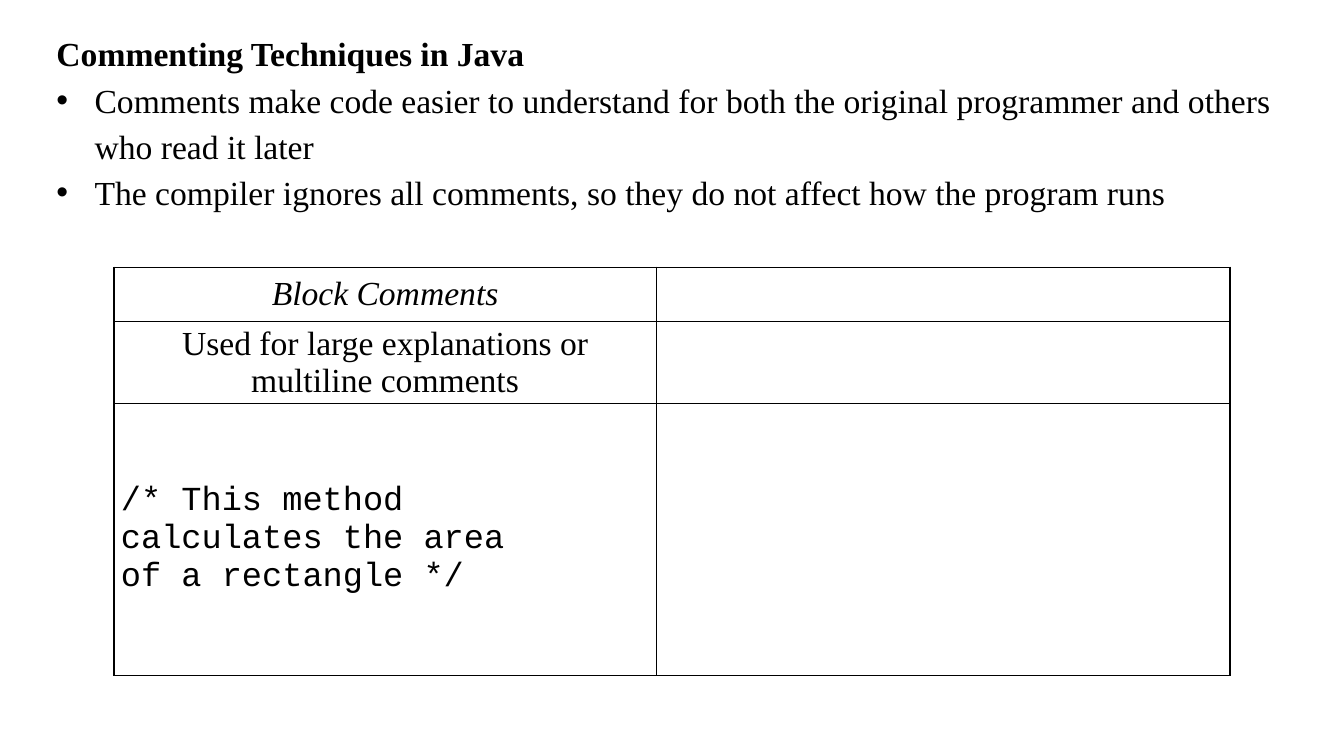
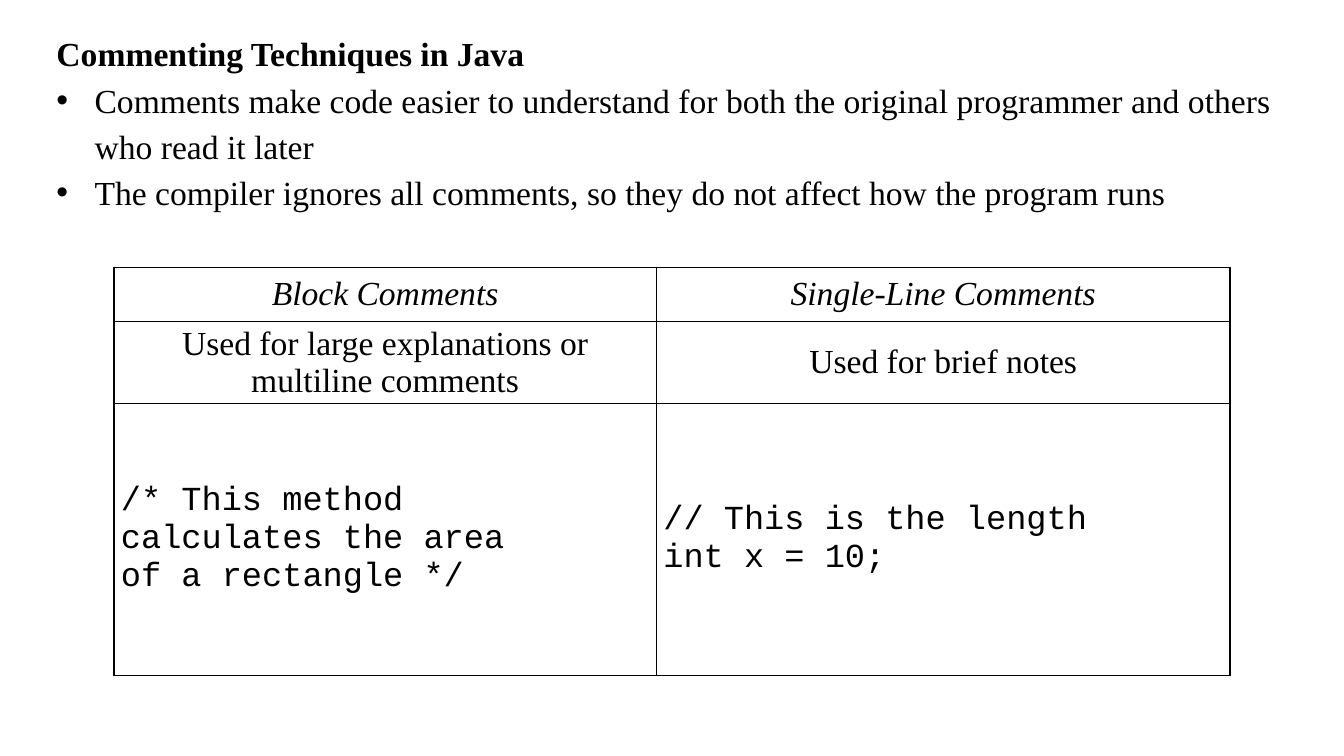
from pptx import Presentation
from pptx.dml.color import RGBColor
from pptx.enum import text
from pptx.oxml import ns
from pptx.util import Emu, Inches, Pt
from lxml import etree

SERIF, MONO, INK = "Times New Roman", "Courier New", "000000"
MARGIN, TOP, TEXT_WIDTH = 0.46, 0.22, 12.35
TITLE_HEIGHT, BODY_TOP, BODY_HEIGHT = 0.56, 0.68, 1.46
HANGING_INDENT, LINE_SPACING = 0.38, 1.15
TABLE_LEFT, TABLE_TOP = 1.13, 2.65
COLUMN_WIDTHS, ROW_HEIGHTS = (5.38, 5.69), (0.54, 0.81, 2.7)

TITLE = "Commenting Techniques in Java"
BULLETS = [
    "Comments make code easier to understand for both the original programmer and others who read it later",
    "The compiler ignores all comments, so they do not affect how the program runs",
]
BLOCK = (
    ["Block Comments"],
    ["Used for large explanations or multiline comments"],
    ["/* This method", "calculates the area", "of a rectangle */"],
)
SINGLE_LINE = (
    ["Single-Line Comments"],
    ["Used for brief notes"],
    ["// This is the length", "int x = 10;"],
)
EMPTY = ([], [], [])
SLIDE_COLUMNS = [(BLOCK, EMPTY), (BLOCK, SINGLE_LINE)]

CENTER, LEFT = text.PP_ALIGN.CENTER, text.PP_ALIGN.LEFT
ROW_STYLES = [
    (CENTER, {"italic": True}),
    (CENTER, {}),
    (LEFT, {"name": MONO}),
]


def rgb(value):
    return RGBColor.from_string(value)


def set_values(target, values):
    for name, value in values.items():
        setattr(target, name, value)


def write(frame, lines, alignment=LEFT, spacing=None, bullet=None, **font):
    for index, line in enumerate(lines):
        paragraph = frame.paragraphs[0] if index == 0 else frame.add_paragraph()
        set_values(paragraph, {"alignment": alignment, "line_spacing": spacing})
        if bullet:
            properties = paragraph._p.get_or_add_pPr()
            indent = Inches(HANGING_INDENT)
            properties.set("marL", str(indent))
            properties.set("indent", str(-indent))
            etree.SubElement(properties, ns.qn("a:buFont"), typeface="Arial")
            etree.SubElement(properties, ns.qn("a:buChar"), char=bullet)
        run = paragraph.add_run()
        run.text = line
        set_values(run.font, {"name": SERIF, "size": Pt(24), **font})
        run.font.color.rgb = rgb(INK)


def add_borders(cell):
    properties = cell._tc.get_or_add_tcPr()
    for index, side in enumerate("LRTB"):
        line = etree.Element(ns.qn(f"a:ln{side}"), w=str(Pt(1)))
        fill = etree.SubElement(line, ns.qn("a:solidFill"))
        etree.SubElement(fill, ns.qn("a:srgbClr"), val=INK)
        properties.insert(index, line)


def add_heading(slide):
    title = slide.shapes.title
    set_values(title, {"left": Inches(MARGIN), "top": Inches(TOP),
                       "width": Inches(TEXT_WIDTH), "height": Inches(TITLE_HEIGHT)})
    set_values(title.text_frame, {"vertical_anchor": text.MSO_ANCHOR.TOP,
                                  "auto_size": text.MSO_AUTO_SIZE.NONE})
    write(title.text_frame, [TITLE], spacing=LINE_SPACING, bold=True)


def add_bullets(slide):
    box = slide.shapes.add_textbox(*map(Inches, (MARGIN, BODY_TOP, TEXT_WIDTH, BODY_HEIGHT)))
    box.text_frame.word_wrap = True
    write(box.text_frame, BULLETS, spacing=LINE_SPACING, bullet="•")


def add_comparison(slide, columns):
    size = sum(COLUMN_WIDTHS), sum(ROW_HEIGHTS)
    table = slide.shapes.add_table(len(ROW_HEIGHTS), len(columns),
                                   *map(Inches, (TABLE_LEFT, TABLE_TOP, *size))).table
    set_values(table, {"first_row": False, "horz_banding": False})
    for column, width in zip(table.columns, COLUMN_WIDTHS):
        column.width = Inches(width)
    for row, height in zip(table.rows, ROW_HEIGHTS):
        row.height = Inches(height)
    for column_index, contents in enumerate(columns):
        for row_index, (lines, (alignment, font)) in enumerate(zip(contents, ROW_STYLES)):
            cell = table.cell(row_index, column_index)
            set_values(cell, {"margin_left": Inches(0.07), "margin_right": Inches(0.07),
                              "margin_top": Emu(0), "margin_bottom": Emu(0),
                              "vertical_anchor": text.MSO_ANCHOR.MIDDLE})
            cell.fill.background()
            add_borders(cell)
            write(cell.text_frame, lines, alignment, **font)


def main():
    presentation = Presentation()
    set_values(presentation, {"slide_width": Inches(13.33), "slide_height": Inches(7.5)})
    title_only = presentation.slide_layouts[5]
    for columns in SLIDE_COLUMNS:
        slide = presentation.slides.add_slide(title_only)
        add_heading(slide)
        add_bullets(slide)
        add_comparison(slide, columns)
    presentation.save("out.pptx")


if __name__ == "__main__":
    main()
